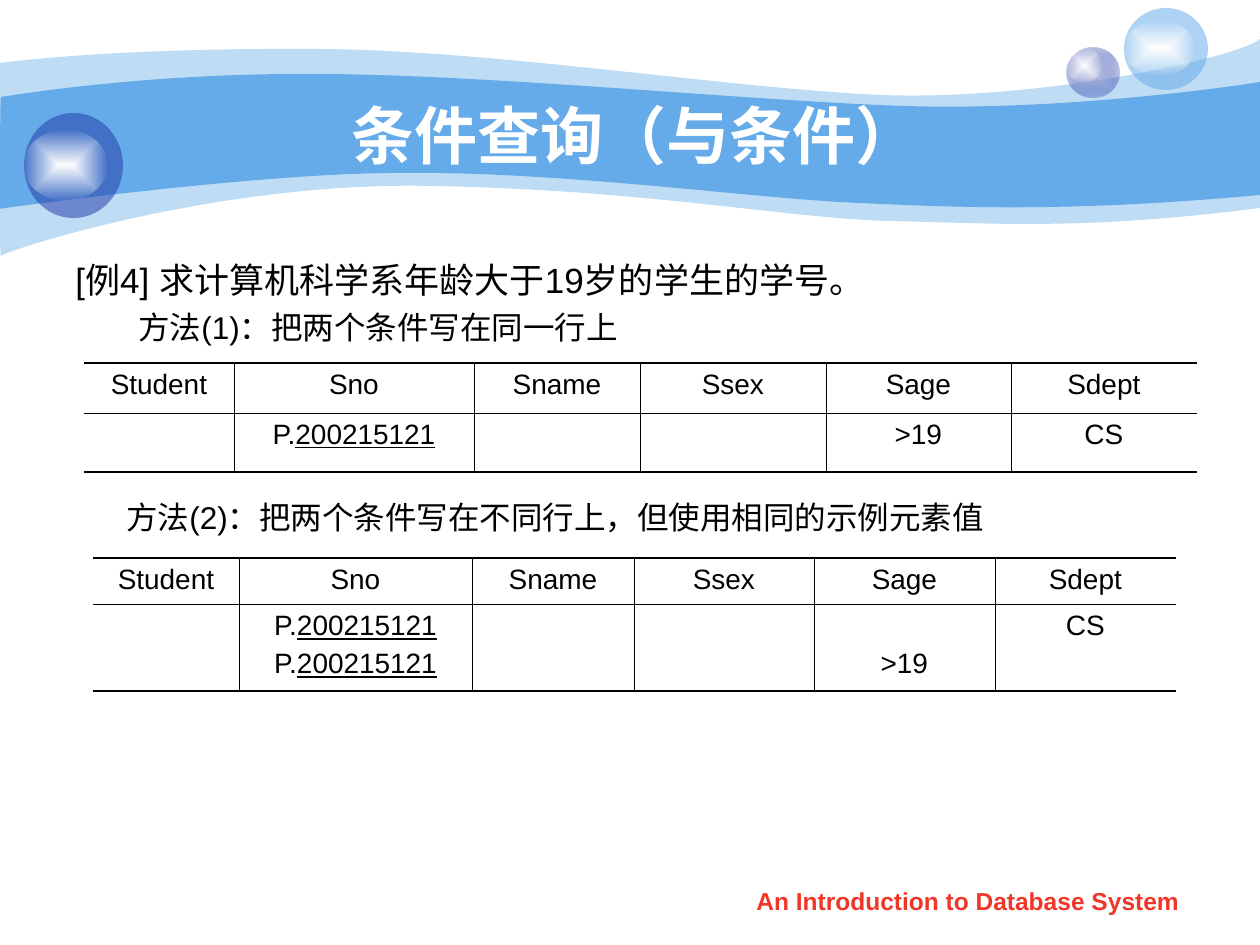
from lxml import etree
from pptx import Presentation
from pptx.dml.color import RGBColor
from pptx.enum.shapes import MSO_SHAPE as Shape
from pptx.enum.text import MSO_ANCHOR as Anchor, PP_ALIGN as Align
from pptx.oxml import parse_xml
from pptx.oxml.ns import nsdecls, qn
from pptx.util import Emu, Pt

COLORS = {"sky": "65AAE9", "navy": "233DA9", "lilac": "C6CCE8", "white": "FFFFFF",
          "glow": "FEFEFE", "black": "000000", "red": "F03628"}
FONT = "Arial"
SCALE = 914400 / 126

# Waves: start, then curves (two controls and an end) or straight ends; opacity in percent
WAVES = [
    ((0, 63), [
        [(30, 59), (135, 48), (311, 49)], [(486, 49), (725, 88), (881, 95)],
        [(1036, 101), (1235, 59), (1260, 39)], [(1260, 208)],
        [(1081, 231), (992, 223), (888, 221)], [(784, 218), (649, 190), (432, 186)],
        [(217, 181), (5, 251), (1, 256)], [(-1, 262), (0, 95), (0, 63)]], 41),
    ((1, 97), [
        [(3, 97), (139, 73), (312, 74)], [(486, 74), (750, 101), (905, 106)],
        [(1060, 111), (1230, 87), (1260, 82)], [(1260, 195)],
        [(1075, 212), (964, 208), (859, 203)], [(755, 199), (563, 171), (399, 173)],
        [(256, 173), (-3, 209), (-1, 209)], [(0, 209), (0, 97), (1, 97)]], 100),
]
# Bubbles: box, then colour stops with opacity
SHINE = [("white", 100), ("glow", 0)]
BUBBLES = [
    ((1067, 48, 53, 50), [("lilac", 100), ("navy", 31)]),
    ((1067, 48, 35, 34), SHINE),
    ((1124, 8, 84, 82), [("sky", 53)]),
    ((1124, 21, 71, 54), SHINE),
    ((24, 113, 99, 105), [("navy", 53)]),
    ((24, 130, 83, 70), SHINE),
]
# Texts: box, anchor, then paragraphs of text, left margin, paragraph format, font format
TEXTS = [
    ((126, 95, 1018, 78), Anchor.MIDDLE, [
        ("条件查询（与条件）", 0, {"alignment": Align.CENTER},
         {"size": Pt(36), "bold": True, "color": "white"})]),
    ((63, 252, 1103, 111), Anchor.TOP, [
        ("[例4] 求计算机科学系年龄大于19岁的学生的学号。", 0, {}, {"size": Pt(20)}),
        ("方法(1)：把两个条件写在同一行上", 63, {"space_before": Pt(4.5)}, {"size": Pt(18)})]),
    ((93, 496, 1153, 52), Anchor.TOP, [
        ("方法(2)：把两个条件写在不同行上，但使用相同的示例元素值", 21,
         {"line_spacing": 0.9}, {"size": Pt(18)})]),
    ((720, 880, 496, 44), Anchor.TOP, [
        ("An Introduction to Database System", 0, {"alignment": Align.CENTER},
         {"size": Pt(14), "bold": True, "color": "red"})]),
]
# Tables: a cell is a list of lines, a line is plain text and underlined text;
# "low" names the columns whose value sits on the second line
HEADINGS = ["Student", "Sno", "Sname", "Ssex", "Sage", "Sdept"]
SAMPLE = ("P.", "200215121")
AGE, DEPT = (">19", ""), ("CS", "")
TABLES = [
    {"at": (84, 363), "widths": [150, 240, 166, 186, 185, 186], "heights": [50, 59],
     "values": [[], [SAMPLE], [], [], [AGE], [DEPT]], "low": []},
    {"at": (93, 558), "widths": [146, 233, 162, 180, 181, 181], "heights": [46, 87],
     "values": [[], [SAMPLE, SAMPLE], [], [], [AGE], [DEPT]], "low": [4]},
]


def px(length):
    return Emu(round(length * SCALE))


def color_xml(name, opacity):
    return (f'<a:srgbClr val="{COLORS[name]}">'
            f'<a:alpha val="{opacity * 1000}"/></a:srgbClr>')


def paint(shape, stops):
    """Fill with one colour, or with a gradient spreading from the centre."""
    shape.shadow.inherit = False
    shape.line.fill.background()
    shape.fill.background()
    if len(stops) == 1:
        xml = f'<a:solidFill {nsdecls("a")}>{color_xml(*stops[0])}</a:solidFill>'
    else:
        marks = "".join(f'<a:gs pos="{index * 100000}">{color_xml(*stop)}</a:gs>'
                        for index, stop in enumerate(stops))
        xml = (f'<a:gradFill {nsdecls("a")} rotWithShape="1"><a:gsLst>{marks}</a:gsLst>'
               '<a:path path="rect"><a:fillToRect l="50000" t="50000" r="50000" b="50000"/>'
               '</a:path></a:gradFill>')
    props = shape._element.spPr
    props.replace(props.find(qn("a:noFill")), parse_xml(xml))


def add_wave(page, start, pieces):
    """Draw lines through all points, then bend each group of three into a curve."""
    outline = page.shapes.build_freeform(*map(px, start))
    outline.add_line_segments([tuple(map(px, point)) for piece in pieces for point in piece],
                              close=True)
    wave = outline.convert_to_shape()
    lines = iter(list(wave._element.iter(qn("a:lnTo"))))
    for piece in pieces:
        group = [next(lines) for _ in piece]
        if len(group) == 3:
            curve = etree.Element(qn("a:cubicBezTo"))
            group[0].addprevious(curve)
            for line in group:
                curve.append(line[0])
                line.getparent().remove(line)
    return wave


def add_span(para, text, style):
    span = para.add_run()
    span.text = text
    span.font.name = FONT
    for name, value in style.items():
        if name != "color":
            setattr(span.font, name, value)
    span.font.color.rgb = RGBColor.from_string(COLORS[style.get("color", "black")])


def add_text(page, place, anchor, paragraphs):
    frame = page.shapes.add_textbox(*map(px, place)).text_frame
    frame.word_wrap = True
    frame.vertical_anchor = anchor
    for index, (text, margin, layout, style) in enumerate(paragraphs):
        para = frame.add_paragraph() if index else frame.paragraphs[0]
        para._p.get_or_add_pPr().set("marL", str(px(margin)))
        for name, value in layout.items():
            setattr(para, name, value)
        add_span(para, text, style)


def set_borders(cell, widths):
    props = cell._tc.get_or_add_tcPr()
    for index, (side, width) in enumerate(zip("LRTB", widths)):
        line = etree.Element(qn(f"a:ln{side}"), w=str(Pt(width)))
        fill = etree.SubElement(line, qn("a:solidFill" if width else "a:noFill"))
        if width:
            etree.SubElement(fill, qn("a:srgbClr"), val=COLORS["black"])
        props.insert(index, line)


def add_grid(page, at, widths, heights, values, low):
    rows = [[[(heading, "")] for heading in HEADINGS], values]
    size = (sum(widths), sum(heights))
    table = page.shapes.add_table(len(rows), len(widths), *map(px, at + size)).table
    table.first_row = table.horz_banding = False
    for column, width in zip(table.columns, widths):
        column.width = px(width)
    for r, (row, height) in enumerate(zip(rows, heights)):
        table.rows[r].height = px(height)
        for c, lines in enumerate(row):
            cell = table.cell(r, c)
            cell.fill.background()
            set_borders(cell, (0.45 if c else 0, 0.45 if c < len(widths) - 1 else 0,
                               0.45 if r else 1.08, 1.08 if r else 0.45))
            if r and c in low:
                cell.vertical_anchor = Anchor.BOTTOM
                cell.margin_bottom = px(12)
            for index, (plain, underlined) in enumerate(lines):
                frame = cell.text_frame
                para = frame.add_paragraph() if index else frame.paragraphs[0]
                para.alignment = Align.CENTER
                if index:
                    para.space_before = Pt(4)
                add_span(para, plain, {"size": Pt(16)})
                if underlined:
                    add_span(para, underlined, {"size": Pt(16), "underline": True})


def main():
    deck = Presentation()
    deck.slide_width, deck.slide_height = px(1260), px(945)
    page = deck.slides.add_slide(deck.slide_layouts[6])

    # Banner waves and bubbles
    for start, pieces, opacity in WAVES:
        paint(add_wave(page, start, pieces), [("sky", opacity)])
    for place, stops in BUBBLES:
        paint(page.shapes.add_shape(Shape.OVAL, *map(px, place)), stops)

    # Words and query tables
    for place, anchor, paragraphs in TEXTS:
        add_text(page, place, anchor, paragraphs)
    for grid in TABLES:
        add_grid(page, **grid)
    deck.save("out.pptx")


if __name__ == "__main__":
    main()
